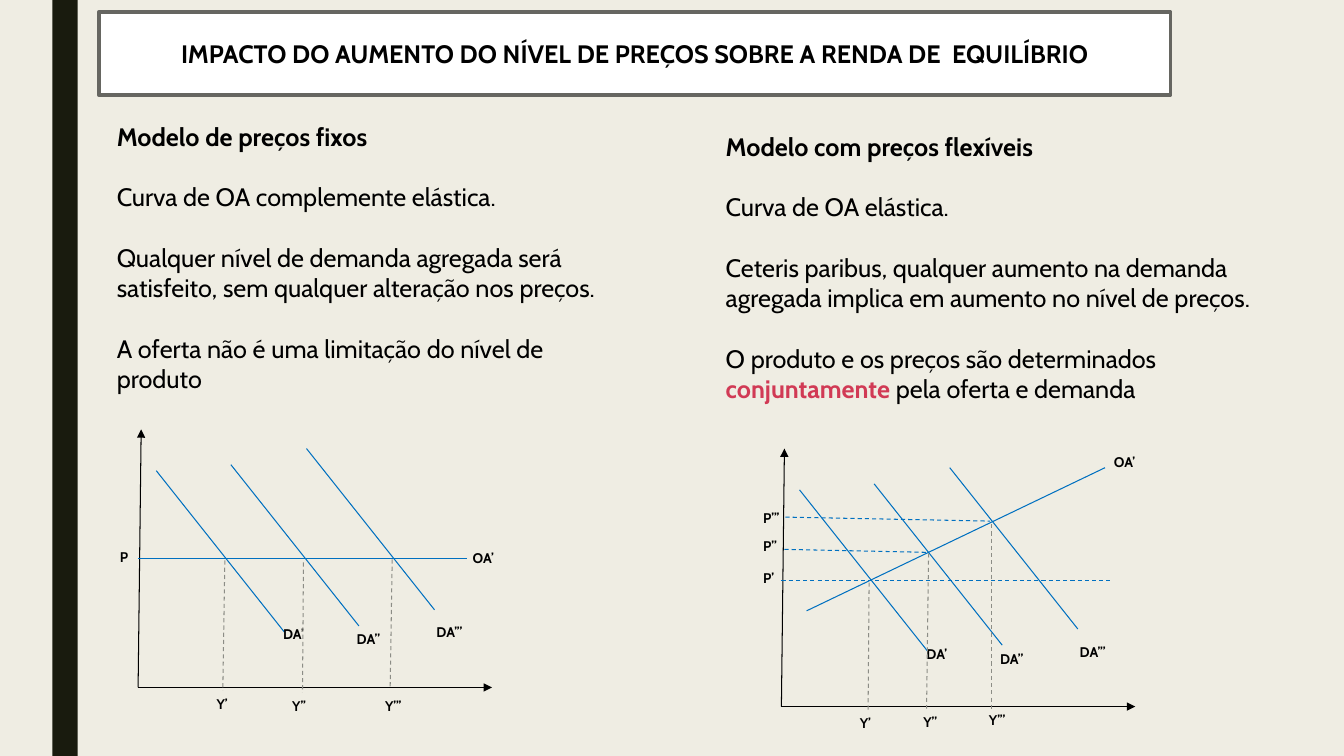
import pptx
import pptx.dml.color
import pptx.enum.dml
import pptx.enum.shapes
import pptx.enum.text
import pptx.oxml
import pptx.oxml.ns
import pptx.util
from pptx.util import Inches

COLORS = {
    "background": "EFEDE3",
    "band": "191B0E",
    "text": "000000",
    "accent": "D13A55",
    "curve": "0070C0",
    "guide": "8C8D86",
    "title_fill": "FFFFFF",
    "title_border": "666661",
}
FONT = "Cabin"
PRIME = "’"
STEM_WIDTHS = {"P": 0.28, "Y": 0.3, "DA": 0.4, "OA": 0.4}
DEMAND_STARTS = [(1.55, 4.67), (2.29, 4.61), (3.04, 4.45)]
DEMAND_RUN, DEMAND_DROP = 1.27, 1.6
DEMAND_LABELS = [(2.71, 6.16), (3.44, 6.21), (4.23, 6.14)]
FLEXIBLE_SHIFT = (6.38, 0.19)

FIXED_TEXT = [
    [("Modelo de preços fixos", "text", True)],
    [("Curva de OA complemente elástica.", "text", False)],
    [("Qualquer nível de demanda agregada será satisfeito, "
      "sem qualquer alteração nos preços.", "text", False)],
    [("A oferta não é uma limitação do nível de produto", "text", False)],
]
FLEXIBLE_TEXT = [
    [("Modelo com preços flexíveis", "text", True)],
    [("Curva de OA elástica.", "text", False)],
    [("Ceteris paribus, qualquer aumento na demanda agregada "
      "implica em aumento no nível de preços.", "text", False)],
    [("O produto e os preços são determinados ", "text", False),
     ("conjuntamente", "accent", True),
     (" pela oferta e demanda", "text", False)],
]


def rgb(name):
    return pptx.dml.color.RGBColor.from_string(COLORS[name])


def add_run(paragraph, text, size, color="text", bold=True):
    run = paragraph.add_run()
    run.text = text
    font_format = {"name": FONT, "size": pptx.util.Pt(size), "bold": bold}
    for attribute, value in font_format.items():
        setattr(run.font, attribute, value)
    run.font.color.rgb = rgb(color)


def add_box(slide, left, top, width, height, fill, border=None):
    box = slide.shapes.add_shape(
        pptx.enum.shapes.MSO_SHAPE.RECTANGLE,
        Inches(left), Inches(top), Inches(width), Inches(height))
    box.shadow.inherit = False
    box.fill.solid()
    box.fill.fore_color.rgb = rgb(fill)
    if border:
        box.line.color.rgb = rgb(border)
        box.line.width = pptx.util.Pt(2.75)
    else:
        box.line.fill.background()
    return box


def add_title(slide, text):
    title = add_box(slide, 0.98, 0.12, 10.63, 0.82, "title_fill", "title_border")
    frame_format = {"word_wrap": True,
                    "vertical_anchor": pptx.enum.text.MSO_ANCHOR.MIDDLE}
    for attribute, value in frame_format.items():
        setattr(title.text_frame, attribute, value)
    heading = title.text_frame.paragraphs[0]
    heading.alignment = pptx.enum.text.PP_ALIGN.CENTER
    add_run(heading, text, 18)


def add_description(slide, left, top, width, height, paragraphs):
    description = slide.shapes.add_textbox(
        Inches(left), Inches(top), Inches(width), Inches(height))
    frame = description.text_frame
    frame.word_wrap = True
    for index, runs in enumerate(paragraphs):
        paragraph = frame.add_paragraph() if index else frame.paragraphs[0]
        if index:
            paragraph.space_before = pptx.util.Pt(21.7)
        for text, color, bold in runs:
            add_run(paragraph, text, 18, color, bold)


def add_line(diagram, start, end, color, dashed=False, arrow=False):
    line = diagram.shapes.add_connector(
        pptx.enum.shapes.MSO_CONNECTOR.STRAIGHT,
        *(Inches(length) for length in (*start, *end)))
    line.line.color.rgb = rgb(color)
    line.line.width = pptx.util.Pt(0.75)
    if dashed:
        line.line.dash_style = pptx.enum.dml.MSO_LINE.DASH
    if arrow:
        arrowhead = pptx.oxml.parse_xml(
            f'<a:tailEnd {pptx.oxml.ns.nsdecls("a")} type="triangle"/>')
        line.line._get_or_add_ln().append(arrowhead)
    line._element.spPr.append(
        pptx.oxml.parse_xml(f'<a:effectLst {pptx.oxml.ns.nsdecls("a")}/>'))


def add_label(diagram, stem, primes, left, top):
    width = STEM_WIDTHS[stem] + 0.035 * primes
    label = diagram.shapes.add_textbox(
        Inches(left), Inches(top), Inches(width), Inches(0.28))
    label.text_frame.word_wrap = False
    add_run(label.text_frame.paragraphs[0], stem + PRIME * primes, 10)


def add_diagram(slide, shift=(0, 0)):
    """Axes and the three demand curves, which both models share."""
    diagram = slide.shapes.add_group_shape()
    dx, dy = shift
    origin = (1.37 + dx, 6.82 + dy)
    add_line(diagram, origin, (4.88 + dx, 6.82 + dy), "text", arrow=True)
    add_line(diagram, origin, (1.4 + dx, 4.26 + dy), "text", arrow=True)
    for x, y in DEMAND_STARTS:
        add_line(diagram, (x + dx, y + dy),
                 (x + dx + DEMAND_RUN, y + dy + DEMAND_DROP), "curve")
    for primes, (x, y) in enumerate(DEMAND_LABELS, 1):
        add_label(diagram, "DA", primes, x + dx, y + dy)
    return diagram


def add_incomes(diagram, guides, labels):
    for start, end in guides:
        add_line(diagram, start, end, "guide", dashed=True)
    for primes, (left, top) in enumerate(labels, 1):
        add_label(diagram, "Y", primes, left, top)


def main():
    presentation = pptx.Presentation()
    presentation.slide_width = Inches(13.33)
    presentation.slide_height = Inches(7.5)
    slide = presentation.slides.add_slide(presentation.slide_layouts[6])
    slide.background.fill.solid()
    slide.background.fill.fore_color.rgb = rgb("background")
    add_box(slide, 0.52, 0, 0.25, 7.5, "band")

    # Fixed prices: horizontal supply
    fixed = add_diagram(slide)
    add_line(fixed, (1.37, 5.54), (4.63, 5.54), "curve")
    add_incomes(fixed,
                [((2.23, 5.56), (2.21, 6.85)),
                 ((3.01, 5.58), (3, 6.87)),
                 ((3.89, 5.55), (3.87, 6.83))],
                [(2.05, 6.85), (2.8, 6.87), (3.72, 6.87)])
    add_label(fixed, "P", 0, 1.09, 5.39)
    add_label(fixed, "OA", 1, 4.59, 5.4)

    # Flexible prices: rising supply
    flexible = add_diagram(slide, FLEXIBLE_SHIFT)
    add_line(flexible, (8, 6.06), (10.96, 4.64), "curve")
    add_incomes(flexible,
                [((8.62, 5.78), (8.61, 7.06)),
                 ((9.21, 5.49), (9.19, 7.03)),
                 ((9.83, 5.2), (9.83, 7.03))],
                [(8.43, 7.04), (9.06, 7.03), (9.71, 7.01)])
    price_levels = [((7.75, 5.76), (11.01, 5.76), 5.6),
                    ((7.78, 5.45), (9.21, 5.48), 5.28),
                    ((7.79, 5.13), (9.82, 5.17), 5.01)]
    for primes, (start, end, label_top) in enumerate(price_levels, 1):
        add_line(flexible, start, end, "curve", dashed=True)
        add_label(flexible, "P", primes, 7.47, label_top)
    add_label(flexible, "OA", 1, 10.95, 4.45)

    # Descriptions and title
    add_description(slide, 1.06, 1.15, 5.22, 3.13, FIXED_TEXT)
    add_description(slide, 7.1, 1.25, 5.93, 2.83, FLEXIBLE_TEXT)
    add_title(slide, "IMPACTO DO AUMENTO DO NÍVEL DE PREÇOS "
                     "SOBRE A RENDA DE  EQUILÍBRIO")
    presentation.save("out.pptx")


if __name__ == "__main__":
    main()
